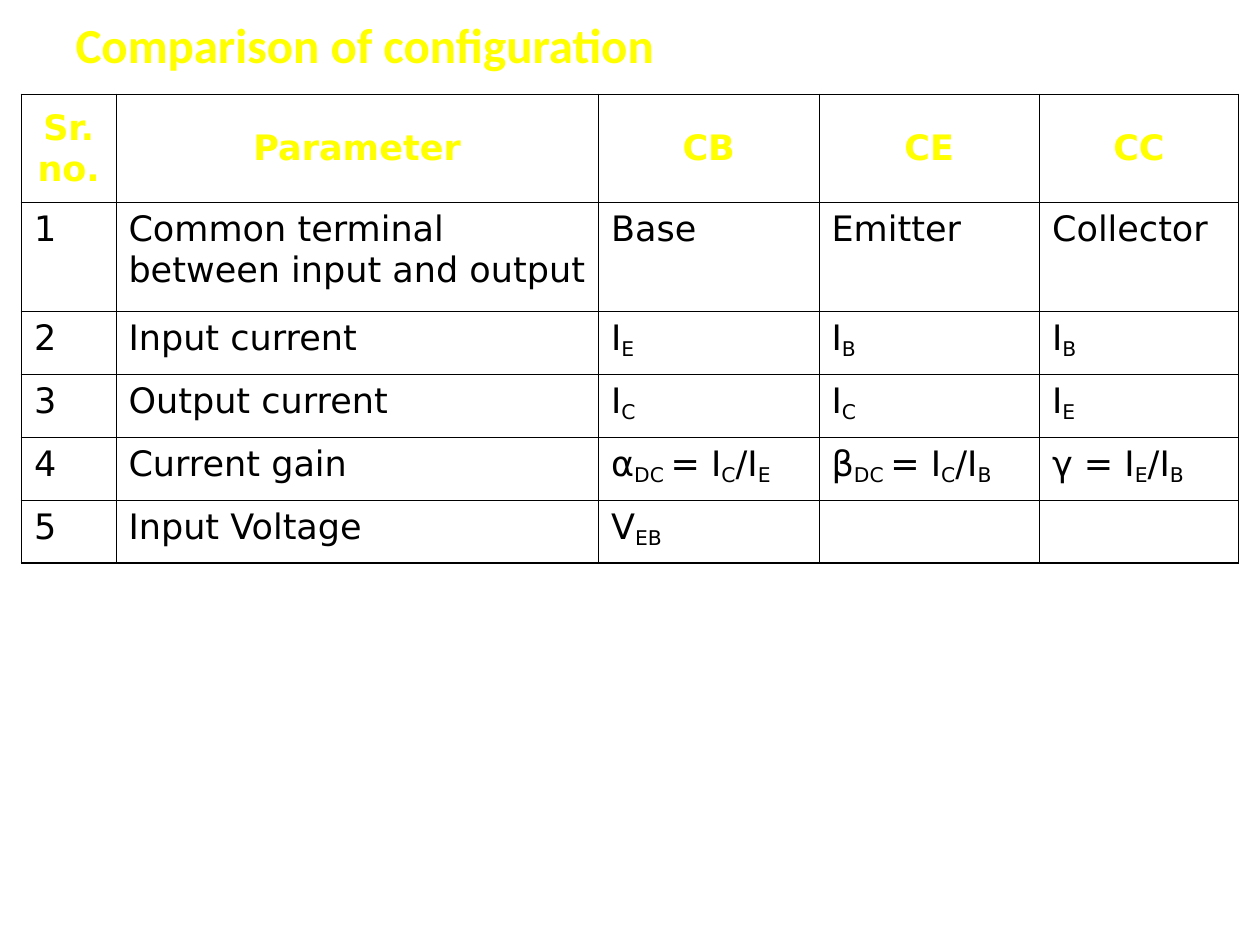
from lxml.etree import SubElement
from pptx import Presentation
from pptx.dml.color import RGBColor
from pptx.enum.text import MSO_ANCHOR as Anchor, PP_ALIGN as Align
from pptx.oxml.ns import qn
from pptx.util import Inches, Pt

# Content: square brackets mark subscripts
TITLE = "Comparison of configuration"
ROWS = [
    ["Sr.no.", "Parameter", "CB", "CE", "CC"],
    ["1", "Common terminal between input and output", "Base", "Emitter", "Collector"],
    ["2", "Input current", "I[E]", "I[B]", "I[B]"],
    ["3", "Output current", "I[C]", "I[C]", "I[E]"],
    ["4", "Current gain", "α[DC ]= I[C]/I[E]", "β[DC ]= I[C]/I[B]", "γ = I[E]/I[B]"],
    ["5", "Input Voltage", "V[EB]", "", ""],
]
COLUMN_WIDTHS = [0.75, 3.83, 1.75, 1.75, 1.58]
ROW_HEIGHTS = [0.86, 0.86] + [0.5] * 4
COLORS = {"heading": "FFFF00", "body": "000000", "border": "000000"}
OUTER, INNER = 1.08, 0.45


def write(frame, text, font="DejaVu Sans", size=20, color="body", bold=False,
          align=Align.LEFT):
    para = frame.paragraphs[0]
    para.alignment = align
    para.font.size = Pt(size)
    for index, part in enumerate(text.replace("]", "[").split("[")):
        if not part:
            continue
        span = para.add_run()
        span.text = part
        span.font.name, span.font.size, span.font.bold = font, Pt(size), bold
        span.font.color.rgb = RGBColor.from_string(COLORS[color])
        if index % 2:
            span.font._element.set("baseline", "-18000")


def add_borders(cell, widths):
    properties = cell._tc.get_or_add_tcPr()
    for side, width in zip("LRTB", widths):
        line = SubElement(properties, qn(f"a:ln{side}"), w=str(Pt(width)))
        fill = SubElement(line, qn("a:solidFill"))
        SubElement(fill, qn("a:srgbClr"), val=COLORS["border"])


deck = Presentation()
deck.slide_width, deck.slide_height = Inches(10), Inches(7.5)
page = deck.slides.add_slide(deck.slide_layouts[5])

# Title
title = page.shapes.title
title.left, title.top = Inches(0.5), Inches(0.08)
title.width, title.height = Inches(9), Inches(0.53)
title.text_frame.vertical_anchor = Anchor.MIDDLE
write(title.text_frame, TITLE, font="Calibri", size=28, color="heading", bold=True)

# Comparison table
table = page.shapes.add_table(
    len(ROWS), len(COLUMN_WIDTHS), Inches(0.17), Inches(0.75),
    Inches(sum(COLUMN_WIDTHS)), Inches(sum(ROW_HEIGHTS))).table
table.horz_banding = False
for column, width in zip(table.columns, COLUMN_WIDTHS):
    column.width = Inches(width)
for row, height in zip(table.rows, ROW_HEIGHTS):
    row.height = Inches(height)

last_row, last_column = len(ROWS) - 1, len(COLUMN_WIDTHS) - 1
for r, texts in enumerate(ROWS):
    for c, text in enumerate(texts):
        cell = table.cell(r, c)
        on_edge = (c == 0, c == last_column, r == 0, r == last_row)
        add_borders(cell, [OUTER if edge else INNER for edge in on_edge])
        cell.fill.background()
        if r == 0:
            cell.vertical_anchor = Anchor.MIDDLE
            write(cell.text_frame, text, color="heading", bold=True, align=Align.CENTER)
        else:
            write(cell.text_frame, text)

deck.save("out.pptx")
